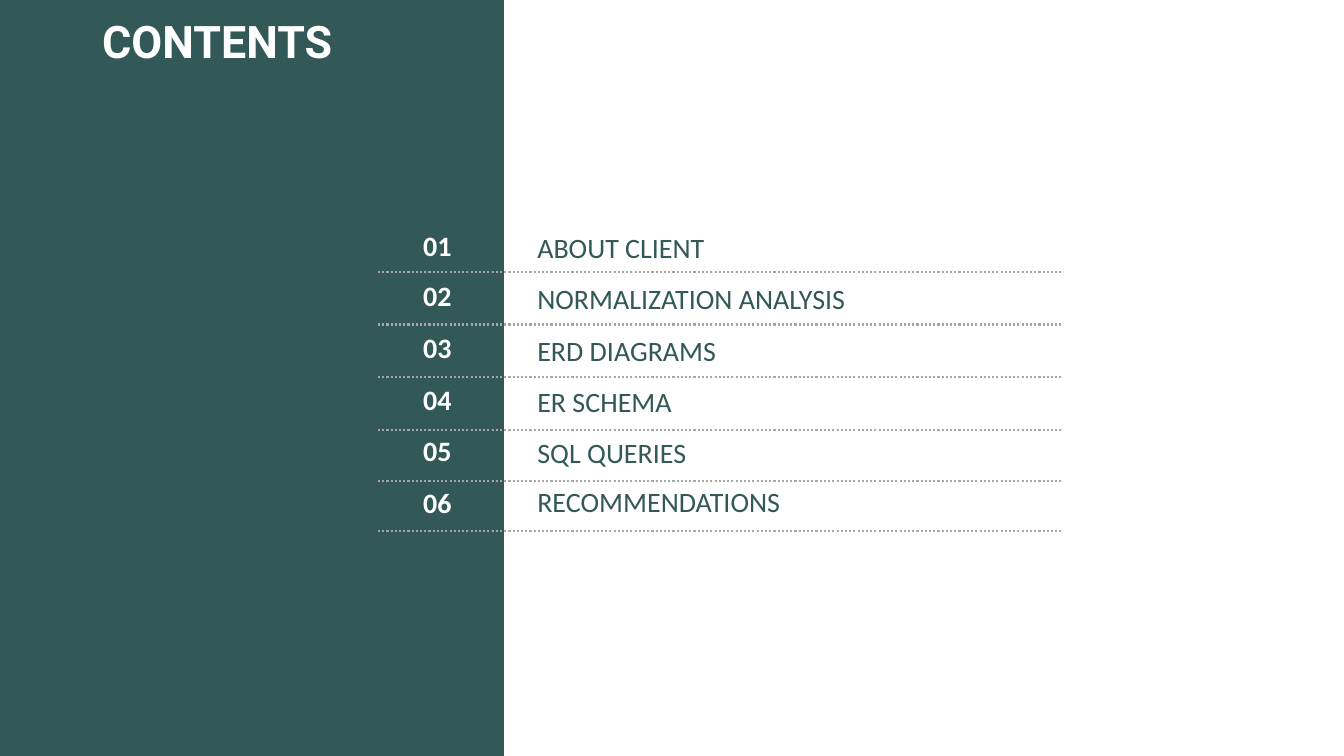
from dataclasses import dataclass

from lxml import etree
from pptx import Presentation
from pptx.dml.color import RGBColor
from pptx.enum.dml import MSO_LINE
from pptx.enum.shapes import MSO_CONNECTOR, MSO_SHAPE
from pptx.enum.text import MSO_ANCHOR, PP_ALIGN
from pptx.oxml.ns import qn
from pptx.util import Pt

LEFT, CENTER, RIGHT = PP_ALIGN.LEFT, PP_ALIGN.CENTER, PP_ALIGN.RIGHT
TOP, MIDDLE = MSO_ANCHOR.TOP, MSO_ANCHOR.MIDDLE
RECTANGLE = MSO_SHAPE.RECTANGLE
STRAIGHT = MSO_CONNECTOR.STRAIGHT
DOTTED = MSO_LINE.ROUND_DOT

SLIDE_WIDTH, SLIDE_HEIGHT = 960, 540
PANEL_WIDTH = 360

# Number, label, then number top, label top and rule height in points
CONTENTS = [
    ("01", "ABOUT CLIENT", 159.8, 157.7, 194.4),
    ("02", "NORMALIZATION ANALYSIS", 195.1, 194.4, 231.8),
    ("03", "ERD DIAGRAMS", 232.6, 231.8, 269.3),
    ("04", "ER SCHEMA", 269.3, 267.8, 307.4),
    ("05", "SQL QUERIES", 306, 304.6, 343.4),
    ("06", "RECOMMENDATIONS", 342.7, 339.1, 379.4),
]


@dataclass(frozen=True)
class Theme:
    green: RGBColor = RGBColor(0x32, 0x58, 0x57)
    white: RGBColor = RGBColor(0xFF, 0xFF, 0xFF)
    gray: RGBColor = RGBColor(0xA6, 0xA6, 0xA6)
    title_font: str = "Roboto"
    body_font: str = "Calibri"
    title_size: int = 32
    body_size: int = 20
    rule_width: float = 1.5


class SlideBuilder:
    def __init__(self, slide, theme):
        self.slide = slide
        self.theme = theme

    def panel(self, left, top, width, height, color):
        shape = self.slide.shapes.add_shape(
            RECTANGLE, Pt(left), Pt(top), Pt(width), Pt(height))
        shape.shadow.inherit = False
        shape.fill.solid()
        shape.fill.fore_color.rgb = color
        shape.line.fill.background()

    def text(self, text, box, margins, color, size, font_name,
             bold=False, align=LEFT, anchor=MIDDLE):
        shape = self.slide.shapes.add_textbox(*map(Pt, box))
        frame = shape.text_frame
        frame.word_wrap = True
        frame.vertical_anchor = anchor
        (frame.margin_left, frame.margin_top,
         frame.margin_right, frame.margin_bottom) = map(Pt, margins)
        paragraph = frame.paragraphs[0]
        paragraph.text = text
        paragraph.alignment = align
        font = paragraph.font
        font.name = font_name
        font.size = Pt(size)
        font.bold = bold
        font.color.rgb = color

    def title(self, text, box):
        theme = self.theme
        self.text(text, box, (0, 0, 0, 0), theme.white, theme.title_size,
                  theme.title_font, bold=True, align=CENTER, anchor=TOP)

    def number(self, text, top):
        theme = self.theme
        self.text(text, (223.9, top, 105.8, 31.5), (7.2, 3.6, 7.2, 3.6),
                  theme.white, theme.body_size, theme.body_font,
                  bold=True, align=RIGHT)

    def label(self, text, top):
        theme = self.theme
        self.text(text, (383.8, top, 544.3, 37.4), (0, 3.6, 7.2, 3.6),
                  theme.green, theme.body_size, theme.body_font)

    def rule(self, left, right, height):
        connector = self.slide.shapes.add_connector(
            STRAIGHT, Pt(left), Pt(height), Pt(right), Pt(height))
        connector.line.color.rgb = self.theme.gray
        connector.line.width = Pt(self.theme.rule_width)
        connector.line.dash_style = DOTTED
        etree.SubElement(connector._element.spPr, qn("a:effectLst"))


def main():
    presentation = Presentation()
    presentation.slide_width = Pt(SLIDE_WIDTH)
    presentation.slide_height = Pt(SLIDE_HEIGHT)
    slide = presentation.slides.add_slide(presentation.slide_layouts[6])
    theme = Theme()
    builder = SlideBuilder(slide, theme)

    # Side panel and title
    builder.panel(0, 0, PANEL_WIDTH, SLIDE_HEIGHT, theme.green)
    builder.title("CONTENTS", (0, 10.1, 310.3, 38.9))

    # Contents list
    for number, label, number_top, label_top, rule_height in CONTENTS:
        builder.number(number, number_top)
        builder.label(label, label_top)
        builder.rule(270, 758.2, rule_height)

    presentation.save("out.pptx")


if __name__ == "__main__":
    main()
